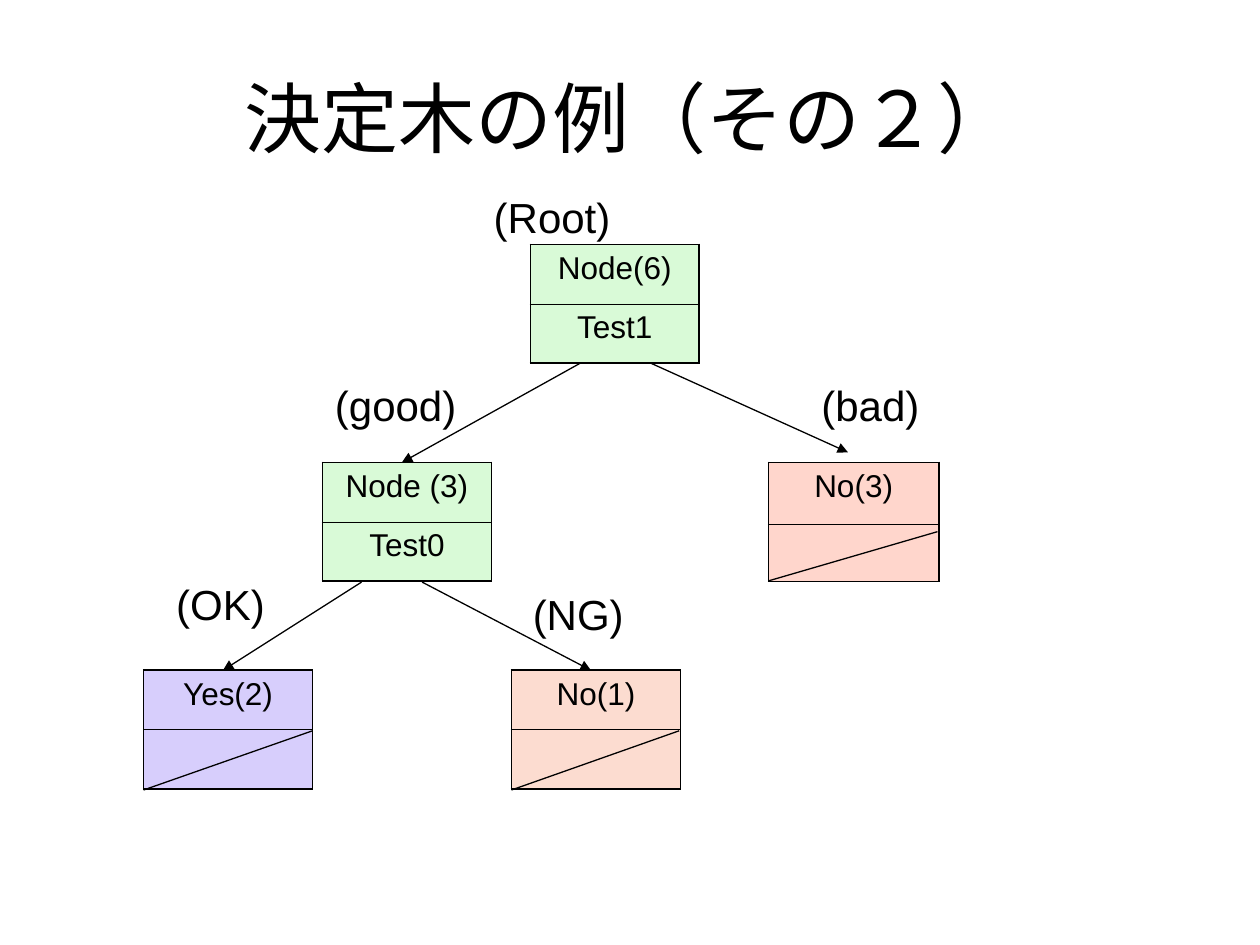
from lxml import etree
from pptx import Presentation
from pptx.dml.color import RGBColor
from pptx.enum.shapes import MSO_CONNECTOR as Connector
from pptx.enum.text import MSO_ANCHOR as Anchor, PP_ALIGN as Align
from pptx.oxml import parse_xml
from pptx.oxml.ns import nsdecls, qn
from pptx.util import Inches, Pt

FONT = "Arial"
BLACK = "000000"
GREEN, PURPLE, ORANGE, RED = "44E937", "390EF2", "F05314", "FF3300"


def color(hex_code):
    return RGBColor.from_string(hex_code)


def write(frame, text, size=24, align=Align.LEFT, before=0, anchor=Anchor.TOP):
    frame.word_wrap = True
    frame.vertical_anchor = anchor
    paragraph = frame.paragraphs[0]
    paragraph.alignment = align
    paragraph.space_before = Pt(before)
    run = paragraph.add_run()
    run.text = text
    run.font.name = FONT
    run.font.size = Pt(size)
    run.font.color.rgb = color(BLACK)


presentation = Presentation()
presentation.slide_width, presentation.slide_height = Inches(10), Inches(7.5)
slide = presentation.slides.add_slide(presentation.slide_layouts[6])

# Grid of 100 columns by 75 rows, with square units
UNIT = presentation.slide_width / 100
NODE_WIDTH = 13.4
LEVELS = (19.4, 36.7, 53.2)

# Tree nodes: left, level, width, row heights, two texts, fill
nodes = [
    (25.6, 1, NODE_WIDTH, (4.72, 4.72), ("Node (3)", "Test0"), GREEN),
    (40.6, 2, NODE_WIDTH, (4.72, 4.72), ("No(1)", ""), ORANGE),
    (11.4, 2, NODE_WIDTH, (4.72, 4.72), ("Yes(2)", ""), PURPLE),
    (42.1, 0, NODE_WIDTH, (4.72, 4.72), ("Node(6)", "Test1"), GREEN),
    (61.0, 1, 13.5, (4.9, 4.54), ("No(3)", ""), RED),
]
for left, level, width, heights, texts, fill in nodes:
    box = [int(v * UNIT) for v in (left, LEVELS[level], width, sum(heights))]
    table = slide.shapes.add_table(2, 1, *box).table
    table.first_row = table.horz_banding = False
    for index, text in enumerate(texts):
        table.rows[index].height = int(heights[index] * UNIT)
        cell = table.cell(index, 0)
        if text:
            write(cell.text_frame, text, size=18, align=Align.CENTER, before=4.5)
        cell.fill.solid()
        cell.fill.fore_color.rgb = color(fill)
        properties = cell._tc.get_or_add_tcPr()
        tint = properties.find(".//" + qn("a:srgbClr"))
        etree.SubElement(tint, qn("a:alpha"), val="20000")
        # Thick frame, thin rule between the two rows
        inner_side = "T" if index else "B"
        for position, side in enumerate("LRTB"):
            weight = Pt(0.45 if side == inner_side else 1.08)
            properties.insert(position, parse_xml(
                f'<a:ln{side} {nsdecls("a")} w="{weight}"><a:solidFill>'
                f'<a:srgbClr val="{BLACK}"/></a:solidFill></a:ln{side}>'))

# Branches with arrowheads, then the strokes through empty leaf cells
branches = [
    (51.6, 28.8, 67.3, 35.9),
    (46.1, 28.8, 31.9, 36.7),
    (33.5, 46.2, 46.9, 53.2),
    (28.7, 46.2, 17.7, 53.2),
]
strokes = [
    (61.0, 46.1, 74.4, 42.2),
    (40.6, 62.7, 53.9, 58.0),
    (11.4, 62.7, 24.8, 58.0),
]
for ends in branches + strokes:
    line = slide.shapes.add_connector(
        Connector.STRAIGHT, *[int(v * UNIT) for v in ends])
    line.line.color.rgb = color(BLACK)
    line.line.width = Pt(0.75)
    if ends in branches:
        etree.SubElement(line.line._get_or_add_ln(), qn("a:tailEnd"), type="triangle")
    etree.SubElement(line._element.spPr, qn("a:effectLst"))

# Branch labels
labels = [
    ("(Root)", 38.2, 14.7),
    ("(bad)", 64.2, 29.6),
    ("(good)", 25.6, 29.6),
    ("(NG)", 41.3, 46.2),
    ("(OK)", 13.0, 45.4),
]
for text, left, top in labels:
    box = [int(v * UNIT) for v in (left, top, 16.5, 5)]
    write(slide.shapes.add_textbox(*box).text_frame, text, before=15)

# Title
title = slide.shapes.add_textbox(*[int(v * UNIT) for v in (5, 3, 90, 12.5)])
write(title.text_frame, "決定木の例（その２）", size=44, align=Align.CENTER,
      anchor=Anchor.MIDDLE)

presentation.save("out.pptx")
